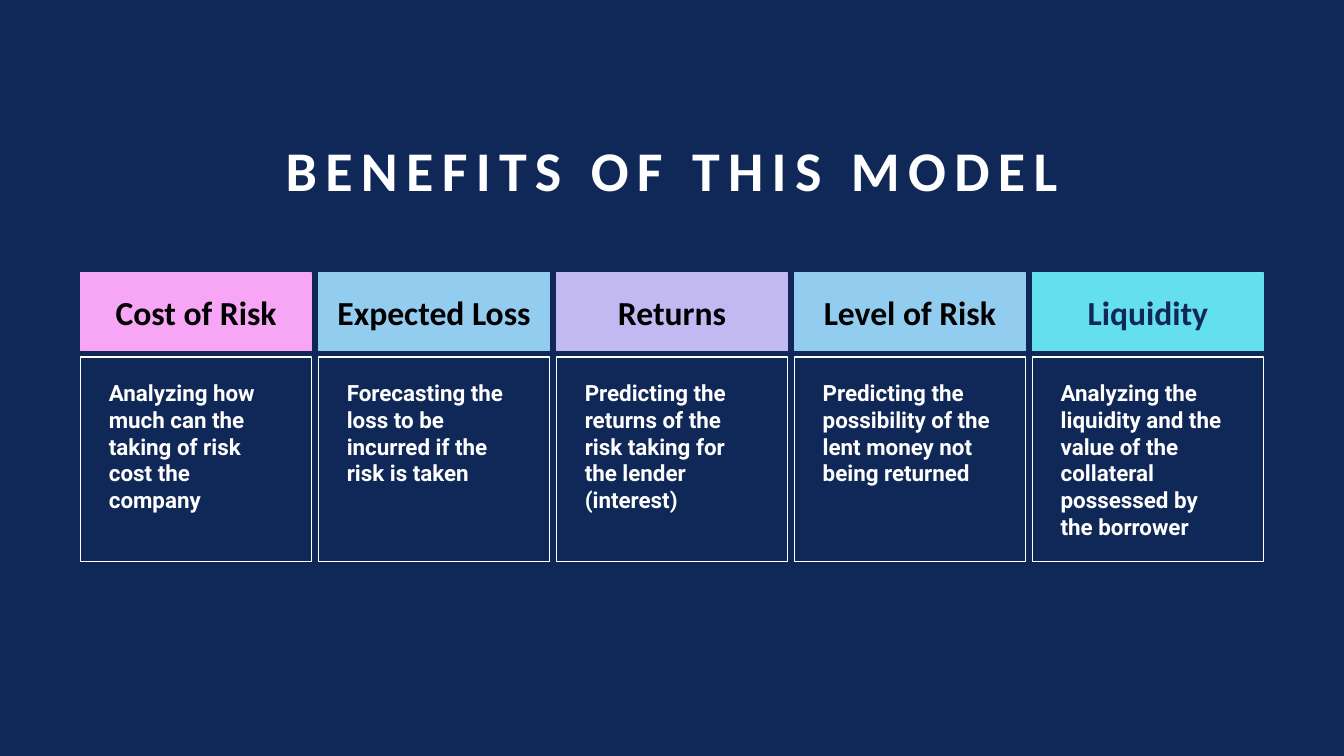
from typing import NamedTuple

from pptx import Presentation
from pptx.dml.color import RGBColor
from pptx.enum import shapes, text
from pptx.util import Inches, Pt

NAVY = RGBColor(0x10, 0x28, 0x57)
WHITE = RGBColor(0xFF, 0xFF, 0xFF)
BLACK = RGBColor(0x00, 0x00, 0x00)
PINK = RGBColor(0xF6, 0xA6, 0xF4)
BLUE = RGBColor(0x92, 0xCD, 0xF0)
LILAC = RGBColor(0xC3, 0xB9, 0xF2)
AQUA = RGBColor(0x64, 0xDF, 0xED)

WIDE, HIGH = 13.33, 7.5
LEFT, STEP, CELL = 0.8, 2.36, 2.29
MIDDLE, TOP = text.MSO_ANCHOR.MIDDLE, text.MSO_ANCHOR.TOP
CENTER, START = text.PP_ALIGN.CENTER, text.PP_ALIGN.LEFT


class Row(NamedTuple):
    top: float
    high: float
    insets: tuple
    anchor: text.MSO_ANCHOR
    align: text.PP_ALIGN
    font: dict


class Benefit(NamedTuple):
    name: str
    detail: str
    fill: RGBColor
    ink: RGBColor = BLACK


HEAD = Row(2.71, 0.77, (0.1, 0.05, 0.1, 0.05), MIDDLE, CENTER,
           {"name": "Calibri", "size": Pt(24), "bold": True})
BODY = Row(3.54, 2.03, (0.28, 0.22, 0.3, 0.05), TOP, START,
           {"name": "Roboto", "size": Pt(16), "bold": True})
TITLE = {"name": "Calibri", "size": Pt(40), "bold": True}

BENEFITS = [
    Benefit("Cost of Risk",
            "Analyzing how much can the taking of risk cost the company", PINK),
    Benefit("Expected Loss",
            "Forecasting the loss to be incurred if the risk is taken", BLUE),
    Benefit("Returns",
            "Predicting the returns of the risk taking for the lender (interest)",
            LILAC),
    Benefit("Level of Risk",
            "Predicting the possibility of the lent money not being returned",
            BLUE),
    Benefit("Liquidity",
            "Analyzing the liquidity and the value of the collateral possessed "
            "by the borrower", AQUA, NAVY),
]


def write(frame, words: str, font: dict, ink: RGBColor, align, anchor):
    """Fill a text frame with one styled run and return that run."""
    frame.word_wrap = True
    frame.vertical_anchor = anchor
    line = frame.paragraphs[0]
    line.alignment = align
    run = line.add_run()
    run.text = words
    for key, value in font.items():
        setattr(run.font, key, value)
    run.font.color.rgb = ink
    return run


def add_title(slide, words: str) -> None:
    box = slide.shapes.add_textbox(
        Inches(1.81), Inches(0.9), Inches(9.71), Inches(1.17))
    run = write(box.text_frame, words, TITLE, WHITE, CENTER,
                text.MSO_ANCHOR.BOTTOM)
    box.text_frame.paragraphs[0].line_spacing = 0.9
    run.font._element.set("spc", "600")


def add_cell(slide, col: int, row: Row, words: str, ink: RGBColor,
             edge: RGBColor, fill: RGBColor | None = None) -> None:
    cell = slide.shapes.add_shape(
        shapes.MSO_SHAPE.RECTANGLE, Inches(LEFT + col * STEP),
        Inches(row.top), Inches(CELL), Inches(row.high))
    cell.shadow.inherit = False
    if fill is None:
        cell.fill.background()
    else:
        cell.fill.solid()
        cell.fill.fore_color.rgb = fill
    cell.line.color.rgb = edge
    cell.line.width = Pt(1)
    frame = cell.text_frame
    for side, inset in zip(("left", "top", "right", "bottom"), row.insets):
        setattr(frame, f"margin_{side}", Inches(inset))
    write(frame, words, row.font, ink, row.align, row.anchor)


def main() -> None:
    deck = Presentation()
    deck.slide_width, deck.slide_height = Inches(WIDE), Inches(HIGH)
    slide = deck.slides.add_slide(deck.slide_layouts[6])
    slide.background.fill.solid()
    slide.background.fill.fore_color.rgb = NAVY
    add_title(slide, "BENEFITS OF THIS MODEL")
    for col, item in enumerate(BENEFITS):
        add_cell(slide, col, HEAD, item.name, item.ink, item.fill, item.fill)
        add_cell(slide, col, BODY, item.detail, WHITE, WHITE)
    deck.save("out.pptx")


if __name__ == "__main__":
    main()
